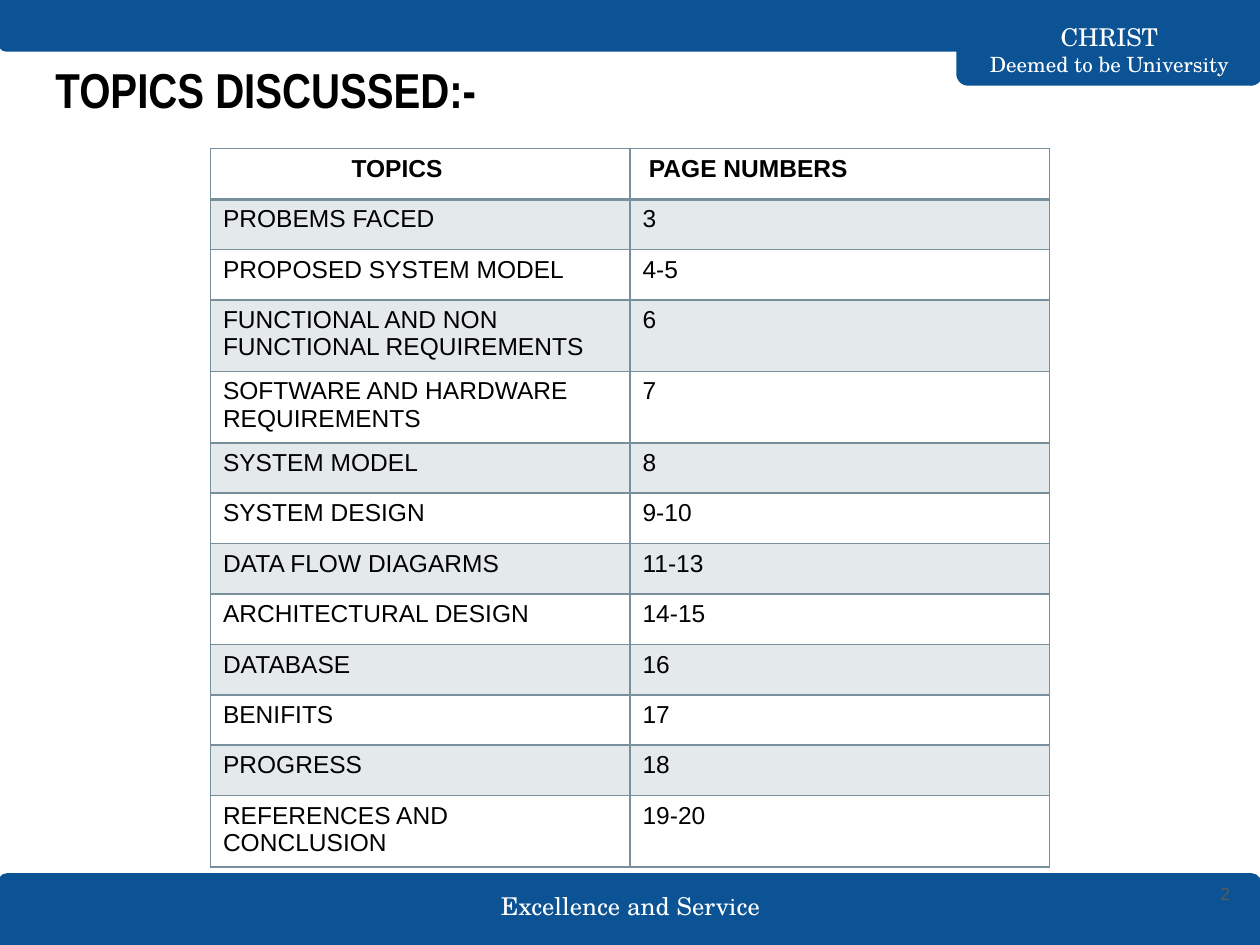
from lxml import etree
from pptx import Presentation
from pptx.dml.color import RGBColor
from pptx.enum.shapes import MSO_SHAPE as Kind
from pptx.enum.text import MSO_ANCHOR as Anchor, MSO_AUTO_SIZE as Auto, PP_ALIGN as Align
from pptx.oxml.ns import qn
from pptx.util import Inches, Pt

BLUE, GREY, PALE = "0B5394", "78909C", "E4E9EB"
SERIF = "TeX Gyre Schola"


def tint(code):
    return RGBColor.from_string(code)


def write(frame, text, size=14, font="Arial", color="000000", bold=False,
          align=Align.LEFT, more=False):
    par = frame.add_paragraph() if more else frame.paragraphs[0]
    par.alignment = align
    run = par.add_run()
    run.text = text
    run.font.size = Pt(size)
    run.font.name = font
    run.font.bold = bold
    run.font.color.rgb = tint(color)


prs = Presentation()
prs.slide_width, prs.slide_height = Inches(10), Inches(7.5)
slide = prs.slides.add_slide(prs.slide_layouts[5])
shapes = slide.shapes

bars = [
    (-0.01, 6.94, 10.01, 0.56, 0),
    (7.6, 0, 2.41, 0.67, 180),
    (0, 0, 10.01, 0.4, 180),
]
for *box, turn in bars:
    bar = shapes.add_shape(Kind.ROUND_2_SAME_RECTANGLE, *map(Inches, box))
    bar.rotation = turn
    bar.adjustments[0] = 0.125
    bar.adjustments[1] = 0
    bar.shadow.inherit = False
    bar.fill.solid()
    bar.fill.fore_color.rgb = tint(BLUE)
    bar.line.color.rgb = tint(BLUE)
    bar.line.width = Pt(1.5)

notes = [
    ((3.66, 7.03, 2.69, 0.32), [("Excellence and Service", 14)], SERIF, "FFFFFF", Align.CENTER),
    ((7.6, 0.27, 2.41, 0.25), [("CHRIST", 14), ("Deemed to be University", 12)],
     SERIF, "FFFFFF", Align.CENTER),
    ((9.26, 6.94, 0.6, 0.3), [("2", 10)], "Arial", "595959", Align.RIGHT),
]
for box, lines, font, color, align in notes:
    frame = shapes.add_textbox(*map(Inches, box)).text_frame
    frame.word_wrap = True
    frame.vertical_anchor = Anchor.MIDDLE
    frame.margin_left = frame.margin_right = Inches(0.1)
    frame.margin_top = frame.margin_bottom = Inches(0.1)
    for i, (text, size) in enumerate(lines):
        write(frame, text, size=size, font=font, color=color, align=align, more=i > 0)

title = shapes.title
title.left, title.top = Inches(0.34), Inches(0.37)
title.width, title.height = Inches(9.32), Inches(0.83)
frame = title.text_frame
frame.auto_size = Auto.NONE
frame.vertical_anchor = Anchor.TOP
frame.margin_left = frame.margin_right = Inches(0.1)
frame.margin_top = frame.margin_bottom = Inches(0.1)
write(frame, "TOPICS DISCUSSED:-", size=28, font="Arial Narrow", bold=True)

rows = [
    ("TOPICS", "PAGE NUMBERS"),
    ("PROBEMS FACED", "3"),
    ("PROPOSED SYSTEM MODEL", "4-5"),
    ("FUNCTIONAL AND NON FUNCTIONAL REQUIREMENTS", "6"),
    ("SOFTWARE AND HARDWARE REQUIREMENTS", "7"),
    ("SYSTEM MODEL", "8"),
    ("SYSTEM DESIGN", "9-10"),
    ("DATA FLOW DIAGARMS", "11-13"),
    ("ARCHITECTURAL DESIGN", "14-15"),
    ("DATABASE", "16"),
    ("BENIFITS", "17"),
    ("PROGRESS", "18"),
    ("REFERENCES AND CONCLUSION", "19-20"),
]
table = shapes.add_table(len(rows), 2, Inches(1.67), Inches(1.18),
                         Inches(6.67), Inches(5.66)).table
for col in table.columns:
    col.width = Inches(3.33)
for r, row in enumerate(rows):
    table.rows[r].height = Inches(0.55 if len(row[0]) > 23 else 0.4)
    for c, text in enumerate(row):
        cell = table.cell(r, c)
        cell.margin_left = Inches((1.12, 0.15)[c] if r == 0 else 0.1)
        write(cell.text_frame, text, bold=r == 0)
        props = cell._tc.get_or_add_tcPr()
        for side in "LRTB":
            thick = (r, side) in ((0, "B"), (1, "T"))
            edge = etree.SubElement(props, qn(f"a:ln{side}"), w=str(Pt(2 if thick else 1)))
            fill = etree.SubElement(edge, qn("a:solidFill"))
            etree.SubElement(fill, qn("a:srgbClr"), val=GREY)
        if r % 2:
            cell.fill.solid()
            cell.fill.fore_color.rgb = tint(PALE)
        else:
            cell.fill.background()

prs.save("out.pptx")
